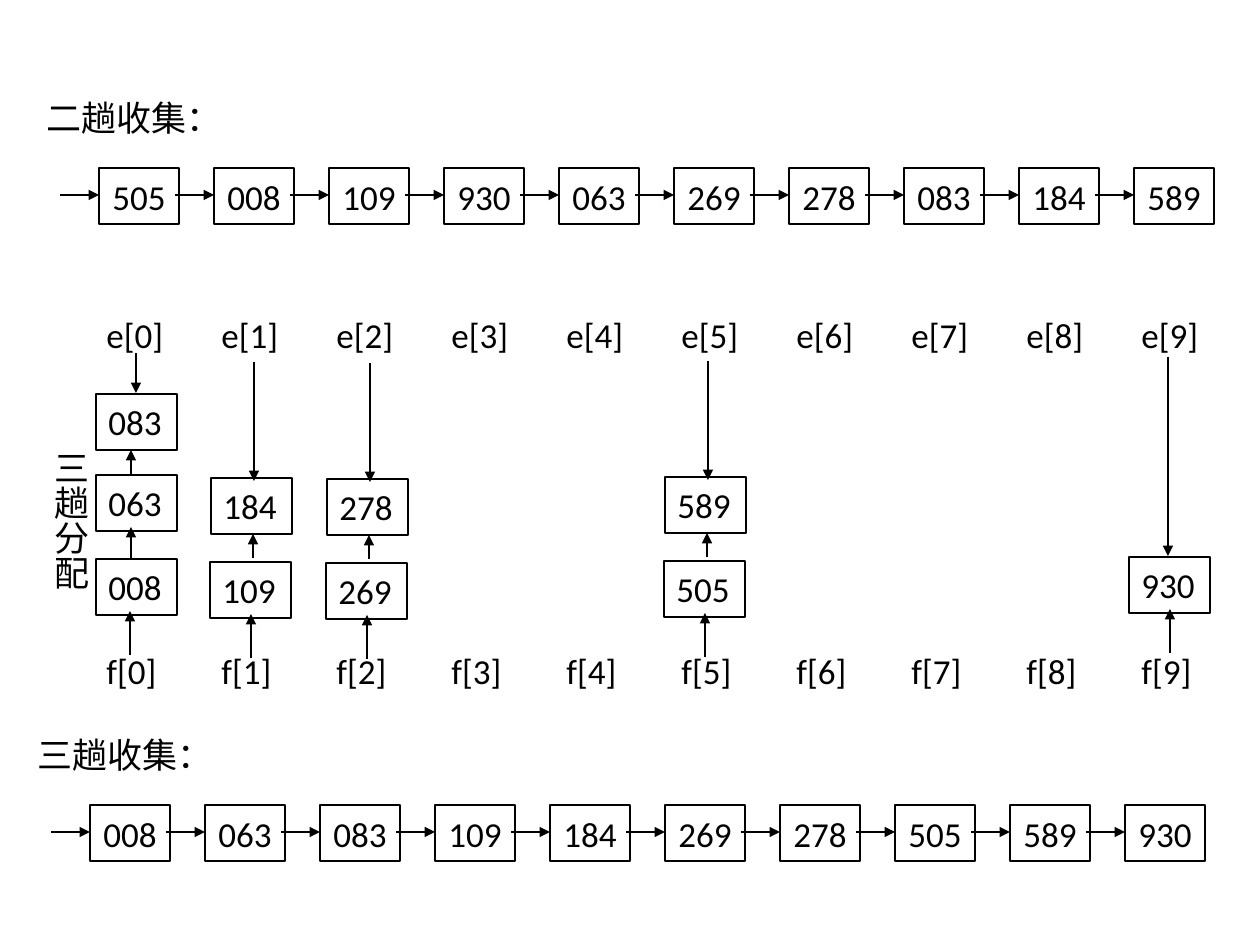
import lxml.etree
import pptx
import pptx.dml.color
import pptx.enum.shapes
import pptx.enum.text
import pptx.oxml.ns
import pptx.util

COLORS = {"ink": "000000"}
ALIGN = pptx.enum.text.PP_ALIGN
ANCHOR = pptx.enum.text.MSO_ANCHOR
FIT = pptx.enum.text.MSO_AUTO_SIZE
PITCH = 115


class Diagram:
    scale = pptx.util.Inches(1) / 126
    font = {"name": "Calibri", "size": pptx.util.Pt(20)}
    line_width = pptx.util.Pt(0.75)

    def __init__(self, slide):
        self.slide = slide
        self.ink = pptx.dml.color.RGBColor.from_string(COLORS["ink"])

    def emu(self, *pixels):
        return [round(value * self.scale) for value in pixels]

    def apply(self, target, formats):
        for key, value in formats.items():
            setattr(target, key, value)

    def put_text(self, shape, words, align, frame_formats):
        frame = shape.text_frame
        self.apply(frame, frame_formats)
        paragraph = frame.paragraphs[0]
        paragraph.alignment = align
        run = paragraph.add_run()
        run.text = words
        self.apply(run.font, self.font)
        run.font.color.rgb = self.ink

    def stroke(self, line):
        line.width = self.line_width
        line.color.rgb = self.ink

    def label(self, words, x, y, width, height=54, vertical=False):
        box = self.slide.shapes.add_textbox(*self.emu(x, y, width, height))
        if vertical:
            box.text_frame._txBody.bodyPr.set("vert", "eaVert")
        self.put_text(box, words, ALIGN.LEFT,
                      {"word_wrap": True, "auto_size": FIT.SHAPE_TO_FIT_TEXT})

    def node(self, words, x, y, width=80, align=ALIGN.CENTER, anchor=ANCHOR.MIDDLE):
        box = self.slide.shapes.add_shape(
            pptx.enum.shapes.MSO_SHAPE.RECTANGLE, *self.emu(x, y, width, 56))
        box.shadow.inherit = False
        box.fill.background()
        self.stroke(box.line)
        self.put_text(box, words, align, {"word_wrap": False, "vertical_anchor": anchor})

    def arrow(self, x1, y1, x2, y2):
        link = self.slide.shapes.add_connector(
            pptx.enum.shapes.MSO_CONNECTOR.STRAIGHT, *self.emu(x1, y1, x2, y2))
        self.stroke(link.line)
        qn = pptx.oxml.ns.qn
        outline = link._element.spPr.find(qn("a:ln"))
        lxml.etree.SubElement(outline, qn("a:tailEnd"), type="triangle")
        lxml.etree.SubElement(link._element.spPr, qn("a:effectLst"))

    def rise(self, x, start, end):
        self.arrow(x, start, x, end)

    def chain(self, title, keys, x, y):
        self.label(title, x - 65, y - 78, 210)
        for index, key in enumerate(keys.split()):
            left = x + index * PITCH
            self.node(key, left, y)
            self.arrow(left - 39, y + 27, left, y + 27)

    def bucket_node(self, key, x, y):
        self.node(key, x, y, 81, ALIGN.LEFT, ANCHOR.TOP)

    def bucket_base(self, key, x, y, offset):
        self.bucket_node(key, x, y)
        self.rise(x + offset, y + 96, y + 52)

    def bucket_pair(self, lower, upper, x, y):
        self.bucket_base(lower, x, y, 41)
        self.bucket_node(upper, x + 1, y - 84)
        self.rise(x + 43, y - 4, y - 28)
        self.rise(x + 44, y - 200, y - 81)


presentation = pptx.Presentation()
presentation.slide_width = pptx.util.Inches(10)
presentation.slide_height = pptx.util.Inches(7.5)
radix_sort = Diagram(presentation.slides.add_slide(presentation.slide_layouts[6]))

radix_sort.chain("二趟收集：", "505 008 109 930 063 269 278 083 184 589", 99, 168)
radix_sort.chain("三趟收集：", "008 063 083 109 184 269 278 505 589 930", 90, 805)

for digit in range(10):
    for end_name, top in (("e", 307), ("f", 643)):
        radix_sort.label(f"{end_name}[{digit}]", 94 + digit * PITCH, top, 82)
radix_sort.label("三趟分配", 31, 438, 67, 172, vertical=True)

radix_sort.bucket_base("008", 96, 559, 34)
for key, top in (("063", 475), ("083", 394)):
    radix_sort.bucket_node(key, 96, top)
for start, end in ((559, 527), (476, 450)):
    radix_sort.rise(131, start, end)
radix_sort.rise(136, 353, 393)

for lower, upper, left, top in (
    ("109", "184", 210, 562),
    ("269", "278", 326, 563),
    ("505", "589", 664, 561),
):
    radix_sort.bucket_pair(lower, upper, left, top)

radix_sort.bucket_base("930", 1129, 557, 41)
radix_sort.rise(1168, 357, 556)

presentation.save("out.pptx")
